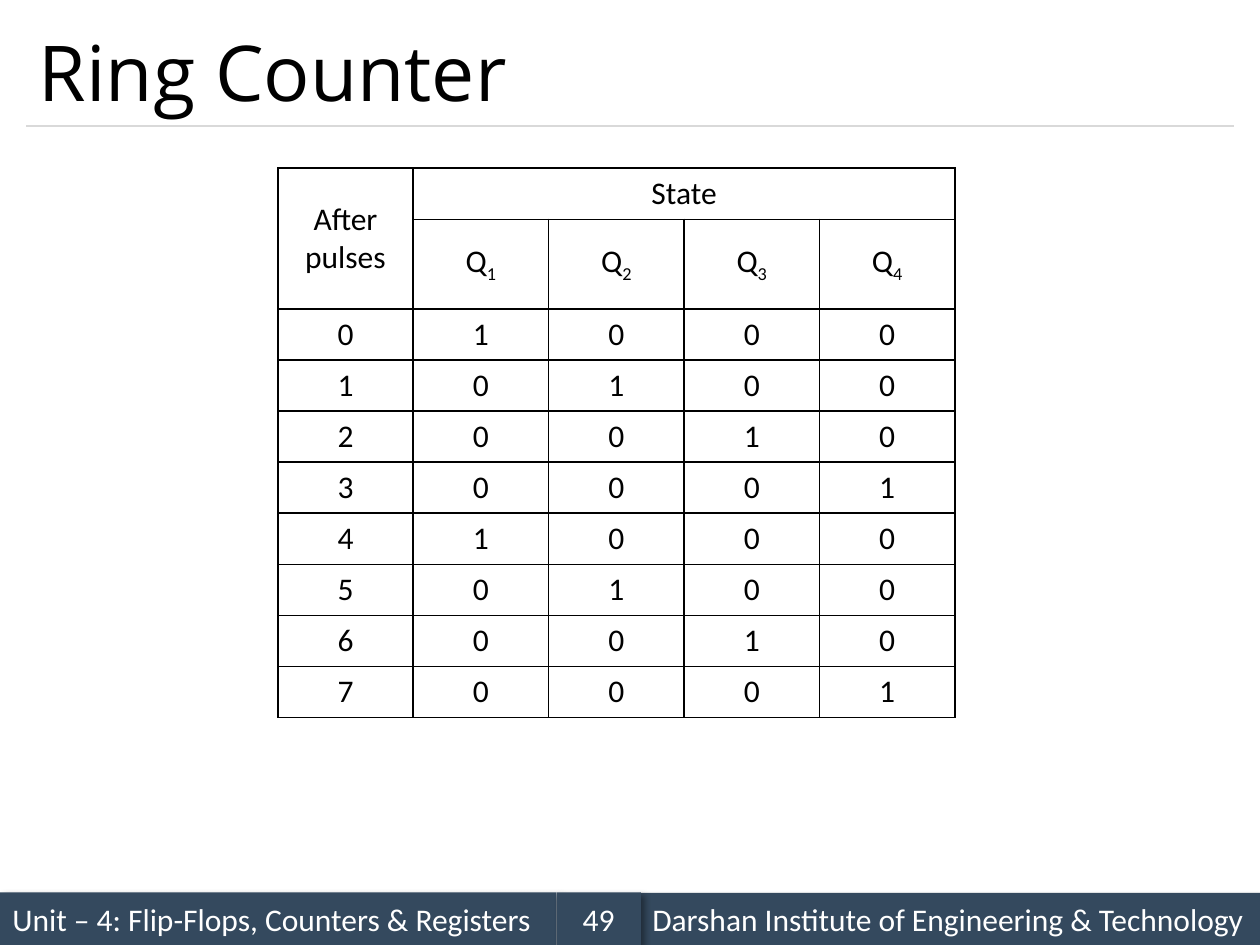
from lxml.etree import SubElement
from pptx import Presentation
from pptx.dml.color import RGBColor
from pptx.enum.shapes import MSO_CONNECTOR, MSO_SHAPE
from pptx.enum.text import MSO_ANCHOR, PP_ALIGN
from pptx.oxml import parse_xml
from pptx.oxml.ns import nsdecls, qn
from pptx.util import Cm, Pt

COLORS = {"text": "000000", "bar": "34495E", "bar_text": "FFFFFF", "rule": "D9D9D9"}
STAGES = 4
PULSES = 8
COL_W = 2.73
ROW_H = 1.03
HEADER_H = 1.8


def rgb(name):
    return RGBColor.from_string(COLORS[name])


def add_run(p, text, size=18, font="Calibri", color="text"):
    r = p.add_run()
    r.text = text
    r.font.size = Pt(size)
    r.font.name = font
    r.font.color.rgb = rgb(color)
    return r


def add_title(s, text):
    sp = s.shapes.title
    sp.left, sp.top, sp.width, sp.height = Cm(0.53), Cm(0.3), Cm(24.33), Cm(2.24)
    tf = sp.text_frame
    tf.vertical_anchor = MSO_ANCHOR.MIDDLE
    p = tf.paragraphs[0]
    p.alignment = PP_ALIGN.LEFT
    add_run(p, text, 44, "Open Sans")


def add_rule(s):
    line = s.shapes.add_connector(MSO_CONNECTOR.STRAIGHT, Cm(0.53), Cm(2.54), Cm(24.87), Cm(2.54))
    line.line.color.rgb = rgb("rule")
    line.line.width = Pt(0.75)
    SubElement(line._element.spPr, qn("a:effectLst"))


def add_shadow(sp):
    sp._element.spPr.append(parse_xml(
        f'<a:effectLst {nsdecls("a")}>'
        '<a:outerShdw blurRad="50800" dist="38100" dir="2700000" algn="tl" rotWithShape="0">'
        '<a:srgbClr val="000000"><a:alpha val="40000"/></a:srgbClr>'
        '</a:outerShdw></a:effectLst>'))


def add_footer_bar(s, left, top, width, text, align=PP_ALIGN.LEFT):
    sp = s.shapes.add_shape(MSO_SHAPE.RECTANGLE, Cm(left), Cm(top), Cm(width), Cm(1.06))
    sp.fill.solid()
    sp.fill.fore_color.rgb = rgb("bar")
    sp.line.fill.background()
    add_shadow(sp)
    tf = sp.text_frame
    tf.word_wrap = True
    tf.vertical_anchor = MSO_ANCHOR.MIDDLE
    p = tf.paragraphs[0]
    p.alignment = align
    add_run(p, text, color="bar_text")


def set_borders(cell):
    tc_pr = cell._tc.get_or_add_tcPr()
    for i, side in enumerate(("lnL", "lnR", "lnT", "lnB")):
        tc_pr.insert(i, parse_xml(
            f'<a:{side} {nsdecls("a")} w="12700"><a:solidFill>'
            f'<a:srgbClr val="{COLORS["text"]}"/></a:solidFill></a:{side}>'))


def fill_cell(cell, text, subscript=""):
    cell.vertical_anchor = MSO_ANCHOR.MIDDLE
    p = cell.text_frame.paragraphs[0]
    p.alignment = PP_ALIGN.CENTER
    add_run(p, text)
    if subscript:
        r = add_run(p, subscript)
        r.font._element.set("baseline", "-25000")


def add_state_table(s):
    """One-hot state table: the single 1 moves one stage on with each pulse."""
    rows, cols = PULSES + 2, STAGES + 1
    height = HEADER_H + ROW_H * (rows - 1)
    table = s.shapes.add_table(rows, cols, Cm(5.6), Cm(3.39), Cm(COL_W * cols), Cm(height)).table
    table.first_row = table.horz_banding = False
    for col in table.columns:
        col.width = Cm(COL_W)
    for i, row in enumerate(table.rows):
        row.height = Cm(HEADER_H if i == 1 else ROW_H)
    for cell in table.iter_cells():
        cell.fill.background()
        set_borders(cell)
    table.cell(0, 0).merge(table.cell(1, 0))
    table.cell(0, 1).merge(table.cell(0, STAGES))
    fill_cell(table.cell(0, 0), "After pulses")
    fill_cell(table.cell(0, 1), "State")
    for stage in range(STAGES):
        fill_cell(table.cell(1, stage + 1), "Q", str(stage + 1))
    for pulse in range(PULSES):
        fill_cell(table.cell(pulse + 2, 0), str(pulse))
        for stage in range(STAGES):
            bit = "1" if pulse % STAGES == stage else "0"
            fill_cell(table.cell(pulse + 2, stage + 1), bit)


def main():
    prs = Presentation()
    prs.slide_width, prs.slide_height = Cm(25.4), Cm(19.05)
    s = prs.slides.add_slide(prs.slide_layouts[5])
    add_footer_bar(s, 0, 17.99, 11.22, "Unit – 4: Flip-Flops, Counters & Registers")
    add_rule(s)
    add_footer_bar(s, 12.9, 18, 12.5, "Darshan Institute of Engineering & Technology")
    add_footer_bar(s, 11.22, 17.99, 1.7, "49", PP_ALIGN.CENTER)
    add_title(s, "Ring Counter")
    add_state_table(s)
    prs.save("out.pptx")


if __name__ == "__main__":
    main()
